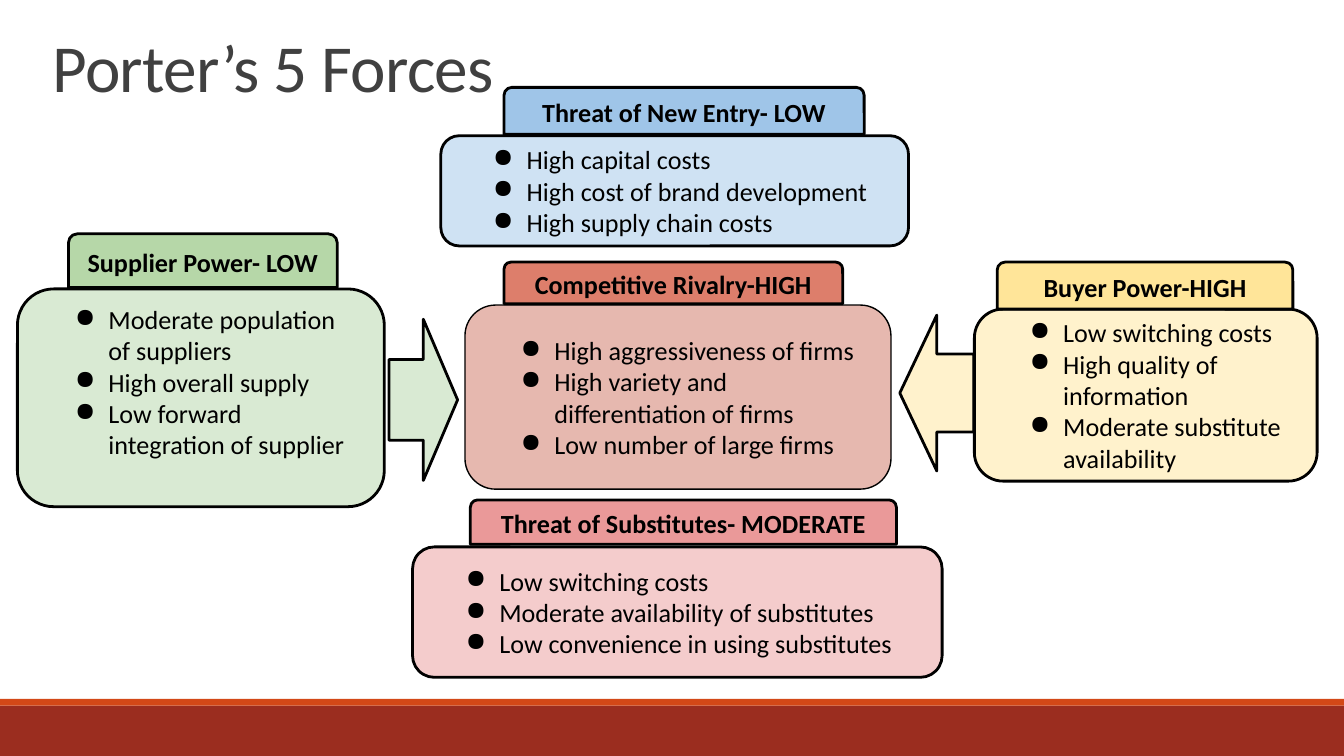
from dataclasses import dataclass

import pptx
import pptx.dml.color
import pptx.enum.shapes
import pptx.enum.text
import pptx.oxml
import pptx.oxml.ns
import pptx.util

SHAPE = pptx.enum.shapes.MSO_SHAPE
ALIGN = pptx.enum.text.PP_ALIGN
ANCHOR = pptx.enum.text.MSO_ANCHOR
WIDTH = pptx.util.Inches(10)
HEIGHT = WIDTH * 9 // 16
CELL = WIDTH // 100  # square grid, 100 columns across the slide
FONT = "Calibri"
BLACK = "000000"
MARGIN = 1


@dataclass
class Area:
    """A rectangle in grid columns and rows."""
    left: float
    top: float
    width: float
    height: float

    def lengths(self) -> list[int]:
        """Return left, top, width and height as slide lengths."""
        return [round(CELL * value) for value in (self.left, self.top, self.width, self.height)]


@dataclass
class Force:
    """One force: a heading tab above a bulleted panel."""
    heading: str
    tab: Area
    tab_fill: str
    points: list[str]
    panel: Area
    panel_fill: str
    panel_line: float = 1.5
    bottom_margin: float = MARGIN


@dataclass
class Arrow:
    """A block arrow turned towards the centre."""
    area: Area
    rotation: int
    fill: str


@dataclass
class Bar:
    """A plain footer band."""
    area: Area
    fill: str


BARS = [
    Bar(Area(0, 52.5, 100, 3.75), "9B2D1F"),
    Bar(Area(0, 52, 100, 0.5), "D34817"),
]
ARROWS = [
    Arrow(Area(25.5, 27.2, 12, 5.1), 270, "D9EAD3"),
    Arrow(Area(63.9, 26.5, 11.6, 5.5), 90, "FFF2CC"),
]
FORCES = [
    Force("Threat of New Entry- LOW", Area(37.5, 6.5, 26.8, 3.5), "9FC5E8",
          ["High capital costs", "High cost of brand development", "High supply chain costs"],
          Area(32.8, 10.1, 34.8, 8.2), "CFE2F3"),
    Force("Supplier Power- LOW", Area(5.1, 17.4, 20, 4), "B6D7A8",
          ["Moderate population of suppliers", "High overall supply",
           "Low forward integration of supplier"],
          Area(1.3, 21.5, 27.3, 16.2), "D9EAD3", bottom_margin=3.4),
    Force("Competitive Rivalry-HIGH", Area(37.5, 19.5, 25.2, 3.1), "DD7E6B",
          ["High aggressiveness of firms", "High variety and differentiation of firms",
           "Low number of large firms"],
          Area(34.6, 22.7, 31.7, 13.7), "E6B8AF", panel_line=0.75),
    Force("Buyer Power-HIGH", Area(74.2, 19.5, 22, 3.5), "FFE599",
          ["Low switching costs", "High quality of information",
           "Moderate substitute availability"],
          Area(72.5, 23, 25.5, 12.8), "FFF2CC"),
    Force("Threat of Substitutes- MODERATE", Area(35, 37.2, 31.7, 3.3), "EA9999",
          ["Low switching costs", "Moderate availability of substitutes",
           "Low convenience in using substitutes"],
          Area(30.7, 40.7, 39.4, 9.7), "F4CCCC"),
]


def color(code: str) -> pptx.dml.color.RGBColor:
    """Turn a hex string into a colour."""
    return pptx.dml.color.RGBColor.from_string(code)


def add_box(shapes, kind: SHAPE, area: Area, fill: str, line: float = 0):
    """Add a filled shape, outlined in black if a line width is given."""
    box = shapes.add_shape(kind, *area.lengths())
    box.shadow.inherit = False
    box.fill.solid()
    box.fill.fore_color.rgb = color(fill)
    if line:
        box.line.color.rgb = color(BLACK)
        box.line.width = pptx.util.Pt(line)
    else:
        box.line.fill.background()
    return box


def set_frame(frame, anchor: ANCHOR, bottom: float = MARGIN) -> None:
    """Set wrapping, anchor and margins of a text frame."""
    frame.word_wrap = True
    frame.auto_size = pptx.enum.text.MSO_AUTO_SIZE.NONE
    frame.vertical_anchor = anchor
    frame.margin_left = frame.margin_top = frame.margin_right = CELL * MARGIN
    frame.margin_bottom = round(CELL * bottom)


def style(para, size: float, code: str, align: ALIGN, bold: bool = False) -> None:
    """Set the font and alignment of a paragraph."""
    para.alignment = align
    para.font.name = FONT
    para.font.size = pptx.util.Pt(size)
    para.font.bold = bold
    para.font.color.rgb = color(code)


def add_bullet(para) -> None:
    """Give a paragraph a round bullet and a hanging indent."""
    properties = para._p.get_or_add_pPr()
    properties.set("marL", str(CELL * 5))
    properties.set("indent", str(-CELL * 5 // 2))
    bullet = pptx.oxml.parse_xml(f'<a:buChar {pptx.oxml.ns.nsdecls("a")} char="●"/>')
    properties.insert_element_before(bullet, "a:tabLst", "a:defRPr", "a:extLst")


def add_force(page, force: Force) -> None:
    """Draw the panel and tab of one force as a group."""
    shapes = page.shapes.add_group_shape().shapes
    panel = add_box(shapes, SHAPE.ROUNDED_RECTANGLE, force.panel,
                    force.panel_fill, force.panel_line)
    set_frame(panel.text_frame, ANCHOR.MIDDLE, force.bottom_margin)
    panel.text_frame.text = "\n".join(force.points)
    for para in panel.text_frame.paragraphs:
        style(para, 14, BLACK, ALIGN.LEFT)
        add_bullet(para)
    tab = add_box(shapes, SHAPE.ROUND_2_SAME_RECTANGLE, force.tab, force.tab_fill, 1.5)
    set_frame(tab.text_frame, ANCHOR.MIDDLE)
    tab.text_frame.text = force.heading
    style(tab.text_frame.paragraphs[0], 14, BLACK, ALIGN.CENTER, bold=True)


def set_title(page, text: str, area: Area) -> None:
    """Fill, place and format the title placeholder."""
    title = page.shapes.title
    title.left, title.top, title.width, title.height = area.lengths()
    set_frame(title.text_frame, ANCHOR.TOP)
    title.text_frame.text = text
    para = title.text_frame.paragraphs[0]
    style(para, 36, "404040", ALIGN.LEFT)
    para.line_spacing = 0.85
    para.runs[0].font._element.set("spc", "-40")


def build() -> None:
    """Build the slide and save it."""
    deck = pptx.Presentation()
    deck.slide_width, deck.slide_height = WIDTH, HEIGHT
    page = deck.slides.add_slide(deck.slide_layouts.get_by_name("Title Only"))
    set_title(page, "Porter’s 5 Forces", Area(2.9, 1.8, 40.5, 4.5))
    for bar in BARS:
        add_box(page.shapes, SHAPE.RECTANGLE, bar.area, bar.fill)
    for arrow in ARROWS:
        box = add_box(page.shapes, SHAPE.DOWN_ARROW, arrow.area, arrow.fill, 1.5)
        box.rotation = arrow.rotation
    for force in FORCES:
        add_force(page, force)
    deck.save("out.pptx")


build()
